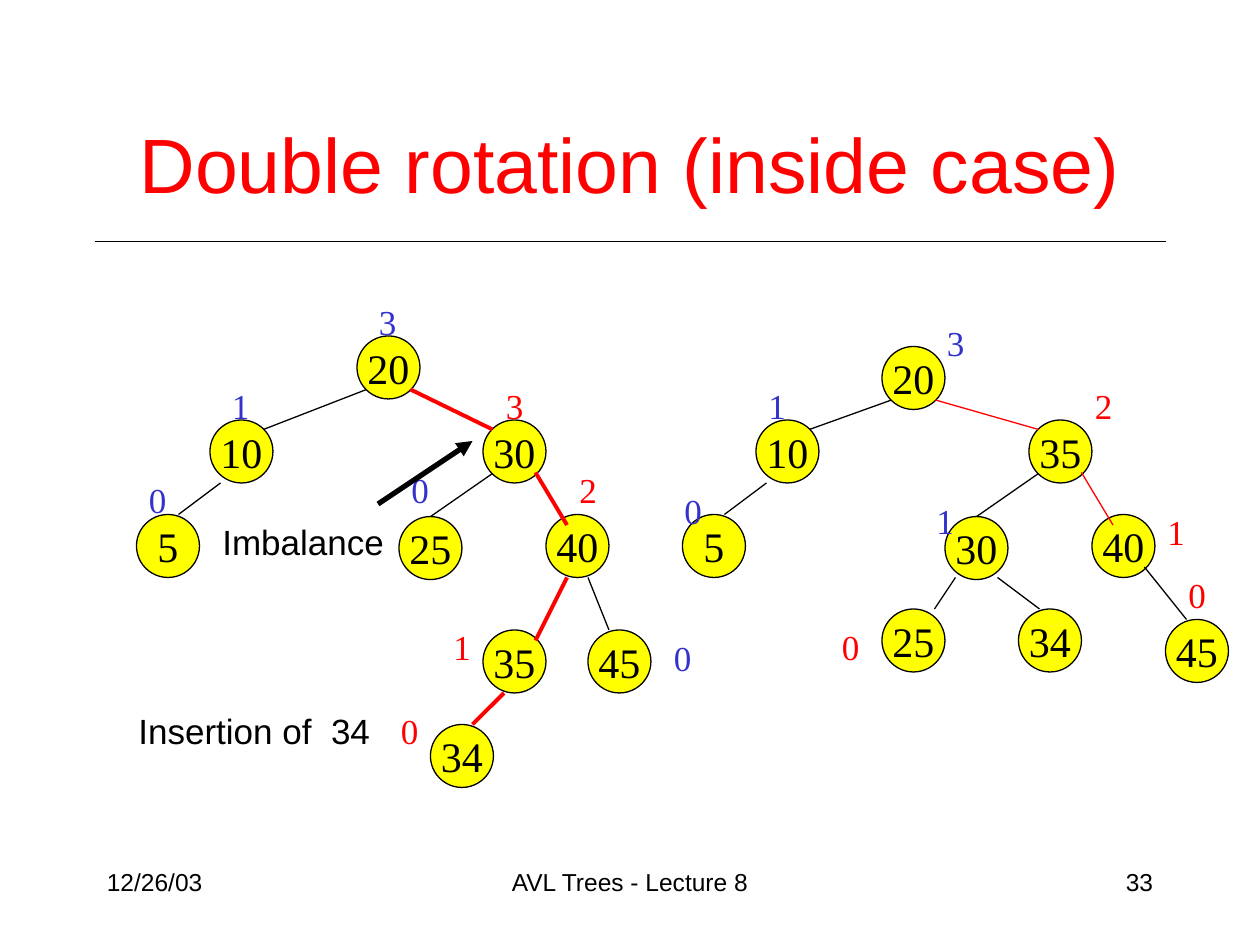
import pptx
import pptx.util
import pptx.dml.color
import pptx.enum.shapes
import pptx.enum.text
import pptx.oxml.xmlchemy

Cm, Pt = pptx.util.Cm, pptx.util.Pt
RGB = pptx.dml.color.RGBColor
ALIGN = pptx.enum.text.PP_ALIGN
ANCHOR = pptx.enum.text.MSO_ANCHOR
BLACK = RGB(0x00, 0x00, 0x00)
RED = RGB(0xFF, 0x00, 0x00)
BLUE = RGB(0x33, 0x33, 0xCC)
YELLOW = RGB(0xFF, 0xFF, 0x00)
SANS, SERIF = "Arial", "Times New Roman"
NODE = 6  # diameter in grid steps
THIN, THICK = 0.75, 2.25

# Nodes: key, left, top in grid steps
LEFT_NODES = [
    ("20", 34, 32), ("10", 20, 40), ("30", 46, 40), ("25", 38, 49.2),
    ("40", 52, 49), ("5", 13, 49), ("45", 56, 60), ("35", 46, 60), ("34", 41, 69),
]
RIGHT_NODES = [
    ("20", 84, 33), ("10", 72, 40), ("35", 98, 40), ("30", 90, 49.2),
    ("40", 104, 49), ("5", 65, 49), ("45", 111, 59), ("25", 84, 58), ("34", 97, 58),
]

# Edges: x1, y1, x2, y2 in grid steps
LEFT_PLAIN = [
    (34.9, 37.1, 25.1, 40.9), (46.9, 45.1, 41, 49.2),
    (21, 46, 17, 49), (56, 55, 58, 60),
]
LEFT_PATH = [
    (39.1, 37.1, 46.9, 40.9), (51, 45, 54, 50),
    (54, 55, 51, 61), (48, 66, 45, 69),
]
RIGHT_PLAIN = [
    (84.9, 38.1, 77.1, 40.9), (98.9, 45.1, 93, 49.2), (73, 46, 69, 49),
    (109, 54, 113, 59), (91, 55, 89, 58), (95, 55, 99, 58),
]
RIGHT_PATH = [(89.1, 38.1, 98.9, 40.9), (103, 45, 106, 50)]

# Heights: digit, left, top in grid steps
BLUE_MARKS = [
    ("3", 34.9, 28), ("1", 20.9, 36), ("0", 38, 44), ("0", 13, 45), ("0", 63, 60),
    ("3", 89, 30), ("1", 72, 36), ("0", 64, 46), ("1", 88, 47),
]
RED_MARKS = [
    ("3", 47, 36), ("2", 54, 44), ("1", 42, 59), ("0", 37, 67),
    ("2", 103.1, 36), ("1", 110, 48), ("0", 112, 54), ("0", 79, 59),
]


def grid(*steps):
    """Turn steps of a twelfth of an inch into lengths."""
    return [Cm(step * 2.54 / 12) for step in steps]


def style(frame, text, size, font, color, align=ALIGN.LEFT):
    frame.text = text
    para = frame.paragraphs[0]
    para.alignment = align
    face = para.runs[0].font
    face.size, face.name = Pt(size), font
    face.color.rgb = color
    return para


def add_text(slide, text, box, size, font, color, align=ALIGN.LEFT, wrap=True):
    frame = slide.shapes.add_textbox(*grid(*box)).text_frame
    frame.word_wrap = wrap
    return style(frame, text, size, font, color, align)


def add_node(slide, key, left, top):
    oval = pptx.enum.shapes.MSO_SHAPE.OVAL
    node = slide.shapes.add_shape(oval, *grid(left, top, NODE, NODE))
    node.shadow.inherit = False
    node.fill.solid()
    node.fill.fore_color.rgb = YELLOW
    node.line.color.rgb = BLACK
    node.line.width = Pt(THIN)
    frame = node.text_frame
    frame.word_wrap = False
    frame.vertical_anchor = ANCHOR.MIDDLE
    style(frame, key, 24, SERIF, BLACK, ALIGN.CENTER)


def add_line(slide, ends, color=BLACK, width=THIN, arrow=False):
    make = pptx.oxml.xmlchemy.OxmlElement
    kind = pptx.enum.shapes.MSO_CONNECTOR.STRAIGHT
    line = slide.shapes.add_connector(kind, *grid(*ends))
    line.line.color.rgb = color
    line.line.width = Pt(width)
    if arrow:
        head = make("a:tailEnd")
        head.set("type", "triangle")
        line.get_or_add_ln().append(head)
    line._element.spPr.append(make("a:effectLst"))


def add_tree(slide, nodes, plain, route, width):
    """Draw the nodes, the plain edges and the red route of one tree."""
    for node in nodes:
        add_node(slide, *node)
    for ends in plain:
        add_line(slide, ends)
    for ends in route:
        add_line(slide, ends, RED, width)


def add_marks(slide, marks, color):
    for digit, left, top in marks:
        add_text(slide, digit, (left, top, 4.1, 5.25), 20, SERIF, color, wrap=False)


def add_note(slide, text, left, top, width):
    para = add_text(slide, text, (left, top, width, 5.25), 20, SANS, BLACK)
    para.space_before = Pt(12.5)


def set_title(slide, text):
    title = slide.shapes.title
    title.left, title.top, title.width, title.height = grid(9, 8, 102, 15)
    title.text_frame.vertical_anchor = ANCHOR.MIDDLE
    style(title.text_frame, text, 44, SANS, RED, ALIGN.CENTER)


def add_foot(slide):
    for text, left, width, align in [
        ("12/26/03", 9, 25, ALIGN.LEFT),
        ("AVL Trees - Lecture 8", 41, 38, ALIGN.CENTER),
        ("33", 86, 25, ALIGN.RIGHT),
    ]:
        add_text(slide, text, (left, 82, width, 6), 14, SANS, BLACK, align)


def main():
    deck = pptx.Presentation()
    deck.slide_width, deck.slide_height = grid(120, 90)
    slide = deck.slides.add_slide(deck.slide_layouts[5])
    set_title(slide, "Double rotation (inside case)")
    add_line(slide, (9, 23, 111, 23))
    add_foot(slide)
    add_tree(slide, LEFT_NODES, LEFT_PLAIN, LEFT_PATH, THICK)
    add_tree(slide, RIGHT_NODES, RIGHT_PLAIN, RIGHT_PATH, THIN)
    add_marks(slide, BLUE_MARKS, BLUE)
    add_marks(slide, RED_MARKS, RED)
    add_note(slide, "Imbalance", 20, 49, 18)
    add_note(slide, "Insertion of  34", 12, 67, 25)
    add_line(slide, (36, 48, 45, 42), width=3, arrow=True)
    deck.save("out.pptx")


if __name__ == "__main__":
    main()
